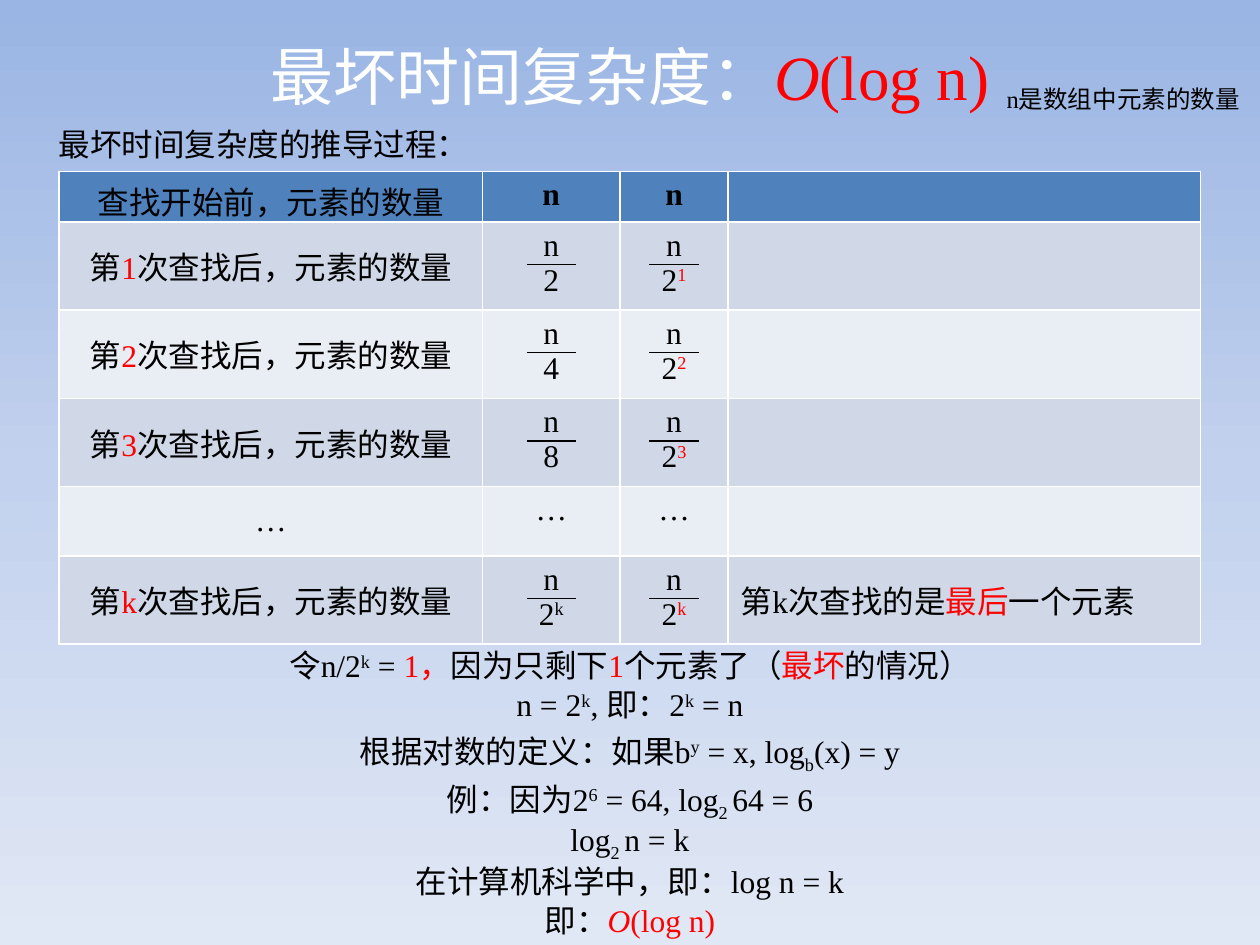
import copy
import itertools

import pptx
import pptx.dml.color
import pptx.enum.shapes
import pptx.enum.text
import pptx.oxml.ns
import pptx.util
from lxml import etree

COLS, ROWS = 100, 75
BLACK, RED, WHITE = "000000", "FF0000", "FFFFFF"
HEAD, BANDS = "4F81BD", ("D0D8E8", "E9EDF4")
SHIFT = {"^": "30000", "_": "-25000"}
qn = pptx.oxml.ns.qn


def hue(code):
    return pptx.dml.color.RGBColor.from_string(code)


class Deck:
    font, hans, size = "Times New Roman", "Noto Sans CJK SC", 18

    def __init__(self):
        self.prs = pptx.Presentation()
        self.prs.slide_width = pptx.util.Inches(10)
        self.prs.slide_height = pptx.util.Inches(7.5)
        self.slide = self.prs.slides.add_slide(self.prs.slide_layouts[6])

    def x(self, cols):
        return round(self.prs.slide_width * cols / COLS)

    def y(self, rows):
        return round(self.prs.slide_height * rows / ROWS)

    def back(self, *codes):
        fill = self.slide.background.fill
        fill.gradient()
        fill.gradient_angle = 270
        stops = next(self.slide.element.iter(qn("a:gsLst")))
        while len(stops) < len(codes):
            stops.append(copy.deepcopy(stops[-1]))
        for n, (stop, code) in enumerate(zip(fill.gradient_stops, codes)):
            stop.color.rgb = hue(code)
            stop.position = n / (len(codes) - 1)

    def add_run(self, para, part, size):
        text, marks = (part, "") if isinstance(part, str) else part
        run = para.add_run()
        run.text = text
        font = run.font
        font.size = pptx.util.Pt(size)
        font.bold = "b" in marks
        font.italic = "i" in marks
        font.color.rgb = hue(RED if "r" in marks else WHITE if "w" in marks else BLACK)
        font.name = self.hans if "h" in marks else self.font
        props = run._r.get_or_add_rPr()
        if "h" in marks:
            etree.SubElement(props, qn("a:ea")).set("typeface", self.hans)
        for mark in SHIFT.keys() & set(marks):
            props.set("baseline", SHIFT[mark])

    def fill_text(self, frame, lines, size=size, center=True):
        for n, line in enumerate(lines):
            para = frame.add_paragraph() if n else frame.paragraphs[0]
            if center:
                para.alignment = pptx.enum.text.PP_ALIGN.CENTER
            for part in line:
                self.add_run(para, part, size)

    def text(self, left, top, wide, high, line, size=size, center=True, wrap=True):
        box = self.slide.shapes.add_textbox(
            self.x(left), self.y(top), self.x(wide), self.y(high))
        box.text_frame.word_wrap = wrap
        self.fill_text(box.text_frame, [line], size, center)

    def table(self, left, top, wides, highs, cells):
        grid = self.slide.shapes.add_table(
            len(highs), len(wides), self.x(left), self.y(top),
            self.x(sum(wides)), self.y(sum(highs))).table
        for col, wide in zip(grid.columns, wides):
            col.width = self.x(wide)
        for row, high in zip(grid.rows, highs):
            row.height = self.y(high)
        for r, c in itertools.product(range(len(highs)), range(len(wides))):
            cell = grid.cell(r, c)
            cell.fill.solid()
            cell.fill.fore_color.rgb = hue(BANDS[(r - 1) % 2] if r else HEAD)
            if r and c in (0, 3):
                cell.vertical_anchor = pptx.enum.text.MSO_ANCHOR.MIDDLE
            self.fill_text(cell.text_frame, cells[r][c], center=c < 3)

    def bar(self, mid, top, wide):
        line = self.slide.shapes.add_connector(
            pptx.enum.shapes.MSO_CONNECTOR.STRAIGHT,
            self.x(mid - wide / 2), self.y(top), self.x(mid + wide / 2), self.y(top))
        line.line.color.rgb = hue(BLACK)
        line.line.width = pptx.util.Pt(0.75)
        etree.SubElement(line._element.spPr, qn("a:effectLst"))


def step(mark, low, last=()):
    return [
        [["第", (mark, "r"), "次查找后，元素的数量"]],
        [["n"], low],
        [["n"], ["2", (mark, "r^")]],
        last,
    ]


def main():
    deck = Deck()
    deck.back("9AB5E4", "C2D1ED", "E1E8F5")
    deck.text(0, 2.5, 100, 13.1,
              [("最坏时间复杂度：", "wh"), ("O", "ri"), ("(log n)", "r")], 36)
    deck.text(78.9, 6.2, 21.1, 3.4, ["n是数组中元素的数量"], 14, False, False)
    deck.text(3.7, 9.4, 40, 4, ["最坏时间复杂度的推导过程："], center=False)

    left, top = 4.7, 13.6
    wides = [33.6, 10.9, 8.6, 37.5]
    highs = [4, 7, 7, 7, 5.5, 7]
    final = ["第k次查找的是", ("最后", "r"), "一个元素"]
    cells = [
        [[["查找开始前，元素的数量"]], [[("n", "b")]], [[("n", "b")]], []],
        *(step(str(n), [str(2 ** n)]) for n in (1, 2, 3)),
        [[["…"]]] * 3 + [[]],
        step("k", ["2", ("k", "^")], [final]),
    ]
    deck.table(left, top, wides, highs, cells)
    for c, r in itertools.product((1, 2), (1, 2, 3, 5)):
        deck.bar(left + sum(wides[:c]) + wides[c] / 2, top + sum(highs[:r]) + 3.4, 3.9)

    proof = [
        (50.8, ["令n/2", ("k", "^"), " = ", ("1，", "r"), "因为只剩下", ("1", "r"),
                "个元素了（", ("最坏", "r"), "的情况）"]),
        (53.9, ["n = 2", ("k", "^"), ", 即：2", ("k", "^"), " = n"]),
        (57.6, ["根据对数的定义：如果b", ("y", "^"), " = x, log", ("b", "_"), "(x) = y"]),
        (61.4, ["例：因为2", ("6", "^"), " = 64, log", ("2 ", "_"), "64 = 6"]),
        (64.6, ["log", ("2 ", "_"), "n = k"]),
        (67.9, ["在计算机科学中，即：log n = k"]),
        (71, ["即：", ("O", "ri"), ("(log n)", "r")]),
    ]
    for row, line in proof:
        deck.text(0, row, 100, 4, line)
    deck.prs.save("out.pptx")


if __name__ == "__main__":
    main()
